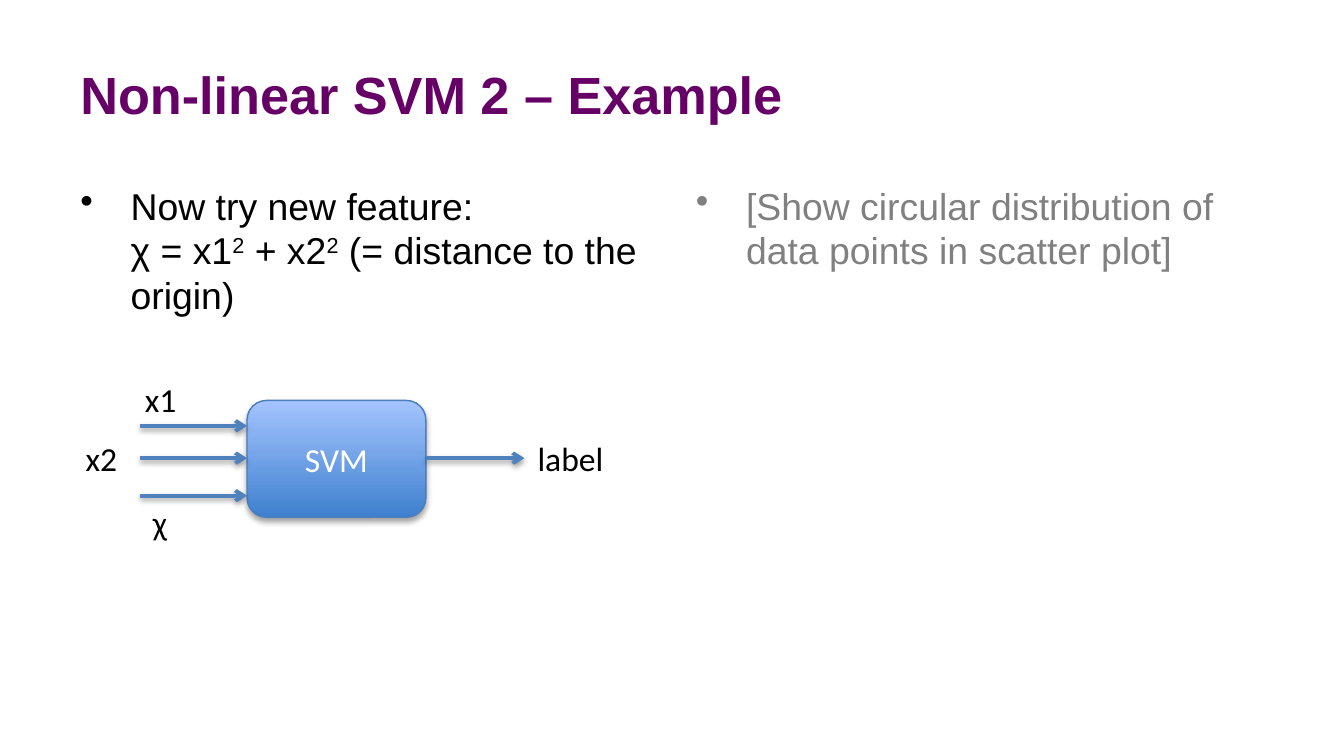
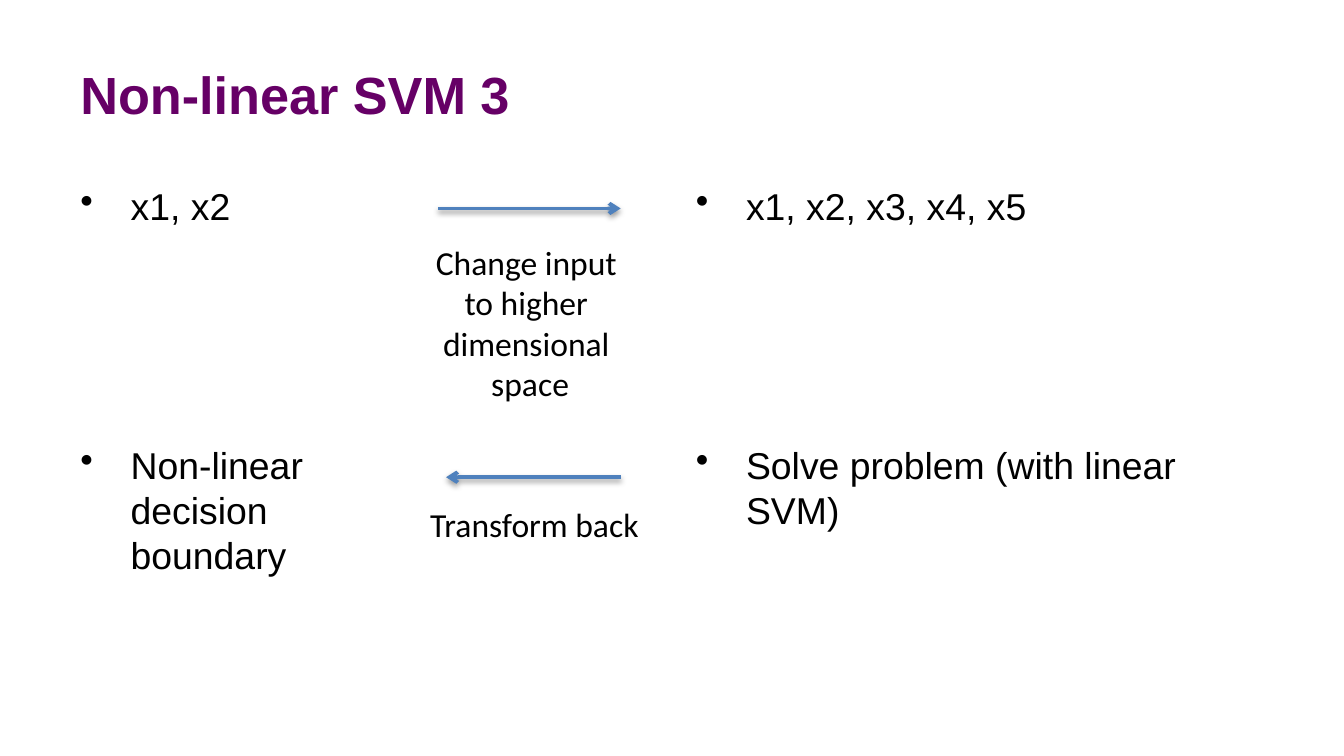
from dataclasses import dataclass

from lxml.etree import SubElement
from pptx import Presentation
from pptx.dml.color import RGBColor
from pptx.enum.shapes import MSO_CONNECTOR as Connector, MSO_SHAPE as Shape
from pptx.enum.text import MSO_ANCHOR as Anchor, MSO_AUTO_SIZE as AutoSize, PP_ALIGN as Align
from pptx.oxml.ns import qn
from pptx.util import Cm, Pt


@dataclass(frozen=True)
class Theme:
    heading_font: str = "Arial"
    label_font: str = "Calibri"
    title_size: int = 28
    body_size: int = 20
    label_size: int = 18
    purple: str = "660066"
    black: str = "000000"
    grey: str = "808080"
    white: str = "FFFFFF"
    arrow: str = "4F81BD"
    node_border: str = "4B7EBC"
    node_bottom: str = "3F80CE"
    node_top: str = "A4C4FF"


THEME = Theme()

# Shared boxes: left, top, width, height in centimetres
TITLE_BOX = (1.27, 0.58, 22.86, 2.39)
LEFT_BOX = (1.27, 3.33, 11.22, 8.05)
RIGHT_BOX = (12.9, 3.33, 11.22, 8.05)
LABEL_HEIGHT = 1.02
FIRST_GAP, ROW_GAP = 4, 115  # points before the first and second bullet


def set_font(para, name, size, color, bold=False):
    para.font.name = name
    para.font.size = Pt(size)
    para.font.bold = bold
    para.font.color.rgb = RGBColor.from_string(color)


def add_shadow(item, opacity, distance):
    """Soft shadow straight below a shape or connector."""
    effects = SubElement(item._element.spPr, qn("a:effectLst"))
    outer = SubElement(effects, qn("a:outerShdw"), blurRad=str(Pt(3.1)),
                       dist=str(Pt(distance)), dir="5400000", rotWithShape="0")
    color = SubElement(outer, qn("a:srgbClr"), val=THEME.black)
    SubElement(color, qn("a:alpha"), val=str(opacity * 1000))


def add_text_frame(page, box):
    frame = page.shapes.add_textbox(*map(Cm, box)).text_frame
    frame.word_wrap = True
    return frame


def add_title(page, text):
    frame = add_text_frame(page, TITLE_BOX)
    frame.vertical_anchor = Anchor.MIDDLE
    para = frame.paragraphs[0]
    para.text = text
    set_font(para, THEME.heading_font, THEME.title_size, THEME.purple, bold=True)


def add_bullets(page, box, texts, color=THEME.black):
    """Bulleted column; ^ switches superscript on and off."""
    frame = add_text_frame(page, box)
    for index, text in enumerate(texts):
        para = frame.add_paragraph() if index else frame.paragraphs[0]
        para.space_before = Pt(ROW_GAP if index else FIRST_GAP)
        set_font(para, THEME.heading_font, THEME.body_size, color)
        properties = para._p.get_or_add_pPr()
        properties.set("marL", str(Cm(0.95)))
        properties.set("indent", str(-Cm(0.95)))
        bullet = SubElement(properties, qn("a:buChar"), char="•")
        properties.find(qn("a:defRPr")).addprevious(bullet)
        for part, piece in enumerate(text.split("^")):
            for row, line in enumerate(piece.split("\n")):
                if row:
                    para.add_line_break()
                span = para.add_run()
                span.text = line
                if part % 2:
                    span.font._element.set("baseline", "30000")


def add_label(page, left, top, width, text, height=LABEL_HEIGHT, align=Align.LEFT):
    frame = add_text_frame(page, (left, top, width, height))
    frame.word_wrap = False
    frame.auto_size = AutoSize.SHAPE_TO_FIT_TEXT
    para = frame.paragraphs[0]
    para.text = text
    para.alignment = align
    set_font(para, THEME.label_font, THEME.label_size, THEME.black)


def add_arrow(page, start, end, y):
    arrow = page.shapes.add_connector(Connector.STRAIGHT, Cm(start), Cm(y), Cm(end), Cm(y))
    arrow.line.width = Pt(2)
    arrow.line.color.rgb = RGBColor.from_string(THEME.arrow)
    SubElement(arrow.line._get_or_add_ln(), qn("a:tailEnd"), type="arrow")
    add_shadow(arrow, 38, 1.6)


def add_node(page, box, text):
    node = page.shapes.add_shape(Shape.ROUNDED_RECTANGLE, *map(Cm, box))
    node.fill.gradient()
    node.fill.gradient_angle = 90
    for stop, position, color in zip(node.fill.gradient_stops, (0, 1),
                                     (THEME.node_bottom, THEME.node_top)):
        stop.position = position
        stop.color.rgb = RGBColor.from_string(color)
    node.line.width = Pt(0.75)
    node.line.color.rgb = RGBColor.from_string(THEME.node_border)
    add_shadow(node, 35, 1.8)
    node.text_frame.vertical_anchor = Anchor.MIDDLE
    para = node.text_frame.paragraphs[0]
    para.text = text
    para.alignment = Align.CENTER
    set_font(para, THEME.label_font, THEME.label_size, THEME.white)


def add_classifier(page, left, top):
    """Three inputs into the SVM node, one label out."""
    node_left, node_right, middle = left + 3.3, left + 6.68, top + 1.62
    add_node(page, (node_left, top + 0.53, node_right - node_left, 2.21), "SVM")
    for y in (top + 2.33, middle, top + 1.01):
        add_arrow(page, left + 1.27, node_left, y)
    add_arrow(page, node_right, left + 8.54, middle)
    for dx, dy, width, text in ((8.54, 1.11, 1.78, "label"), (1.12, 0, 1.12, "x1"),
                                (0, 1.11, 1.12, "x2"), (1.27, 2.33, 0.79, "χ")):
        add_label(page, left + dx, top + dy, width, text)


def add_mapping(page, left, top):
    """Forward arrow above, return arrow below, each with a caption."""
    right = left + 3.88
    add_arrow(page, left + 0.43, right, top)
    add_label(page, left + 0.1, top + 0.51, 4.14,
              "Change input \nto higher \ndimensional \nspace", 3.33, Align.CENTER)
    add_arrow(page, right, left + 0.58, top + 5.08)
    add_label(page, left, top + 5.46, 4.5, "Transform back", align=Align.CENTER)


def add_page(deck, title):
    page = deck.slides.add_slide(deck.slide_layouts[6])
    add_title(page, title)
    return page


def build_example(deck):
    page = add_page(deck, "Non-linear SVM 2 – Example")
    add_bullets(page, LEFT_BOX, [
        "Now try new feature:\nχ = x1^2^ + x2^2^ (= distance to the origin)"])
    add_bullets(page, RIGHT_BOX, [
        "[Show circular distribution of data points in scatter plot]"], THEME.grey)
    add_classifier(page, 1.37, 7.04)


def build_transform(deck):
    page = add_page(deck, "Non-linear SVM 3")
    add_bullets(page, LEFT_BOX, ["x1, x2", "Non-linear\ndecision\nboundary"])
    add_bullets(page, RIGHT_BOX, ["x1, x2, x3, x4, x5", "Solve problem (with linear SVM)"])
    add_mapping(page, 7.85, 3.94)


deck = Presentation()
deck.slide_width, deck.slide_height = Cm(25.4), Cm(14.29)
build_example(deck)
build_transform(deck)
deck.save("out.pptx")
